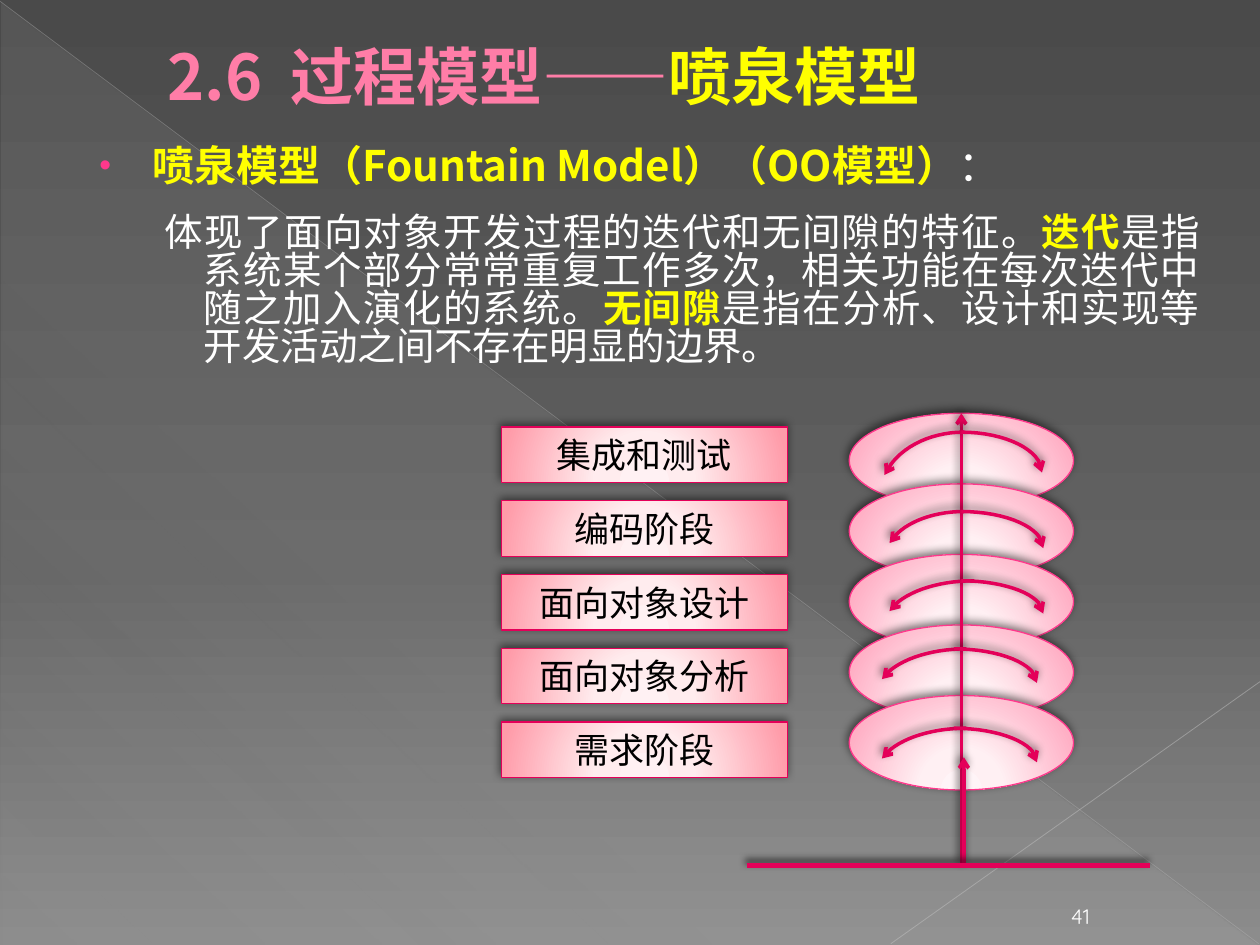
from lxml import etree
from pptx import Presentation
from pptx.dml.color import RGBColor
from pptx.enum.shapes import MSO_CONNECTOR as CONN, MSO_SHAPE as SHAPE
from pptx.enum.text import MSO_ANCHOR as ANCHOR, PP_ALIGN as ALIGN
from pptx.oxml import parse_xml
from pptx.oxml.ns import nsdecls, qn
from pptx.util import Inches, Pt

WIDTH, HEIGHT = Inches(10), Inches(7.5)
COL, ROW = WIDTH / 100, HEIGHT / 75
CJK, LATIN = "Noto Sans CJK SC", "Quicksand"
WHITE, YELLOW, PINK, ROSE, RED = "FFFFFF", "FFFF00", "FF388C", "FF7DA7", "E40059"
GLOW = '<a:path path="circle"><a:fillToRect l="50000" t="155000" r="50000" b="-55000"/></a:path>'
STAGES = ["集成和测试", "编码阶段", "面向对象设计", "面向对象分析", "需求阶段"]
ARCS = [
    (34.3, 76.5, 70.2, 37.7, 82.7, 37.5),
    (40.6, 76.5, 70.6, 43.1, 82.8, 43.5),
    (46.1, 77.3, 70.6, 48.5, 82.8, 48.7),
    (51.5, 76.7, 70.0, 53.9, 82.3, 54.2),
    (57.8, 76.7, 70.0, 60.2, 82.3, 60.5),
]


def color(value):
    return RGBColor.from_string(value)


def place(*cells):
    return [round(c * (COL, ROW)[i % 2]) for i, c in enumerate(cells)]


def gradient(element, stops, direction):
    gs = "".join(
        f'<a:gs pos="{pos * 1000}"><a:srgbClr val="{val}">'
        f'<a:alpha val="{alpha * 1000}"/></a:srgbClr></a:gs>'
        for pos, val, alpha in stops
    )
    fill = parse_xml(
        f'<a:gradFill {nsdecls("a")} rotWithShape="1"><a:gsLst>{gs}</a:gsLst>{direction}</a:gradFill>'
    )
    solid = element.find(".//" + qn("a:solidFill"))
    solid.getparent().replace(solid, fill)


def linear(angle):
    return f'<a:lin ang="{angle * 60000}" scaled="0"/>'


def shadow(sp, alpha=0, blur=0, dist=0):
    outer = ""
    if alpha:
        outer = (
            f'<a:outerShdw blurRad="{Pt(blur)}" dist="{Pt(dist)}" dir="{245 * 60000}" rotWithShape="0">'
            f'<a:srgbClr val="000000"><a:alpha val="{alpha * 1000}"/></a:srgbClr></a:outerShdw>'
        )
    effects = parse_xml(f'<a:effectLst {nsdecls("a")}>{outer}</a:effectLst>')
    sp.element.find(qn("p:spPr")).append(effects)


def stroke(sp, value, width, arrow=False, alpha=100):
    sp.line.color.rgb = color(value)
    sp.line.width = Pt(width)
    ln = sp.element.find(".//" + qn("a:ln"))
    if alpha < 100:
        tint = ln.find(".//" + qn("a:srgbClr"))
        etree.SubElement(tint, qn("a:alpha"), val=str(alpha * 1000))
    if arrow:
        etree.SubElement(ln, qn("a:tailEnd"), type="arrow")


def line(s, ends, value, width, arrow=False, alpha=100, shade=()):
    sp = s.shapes.add_connector(CONN.STRAIGHT, *place(*ends))
    stroke(sp, value, width, arrow, alpha)
    shadow(sp, *shade)


def glossy(s, kind, cells, edge, tones):
    sp = s.shapes.add_shape(kind, *place(*cells))
    sp.fill.solid()
    stroke(sp, edge, 0.75)
    gradient(sp.element, [(p, c, 100) for p, c in zip((0, 34, 100), tones)], GLOW)
    shadow(sp, 50, 5, 2)
    return sp


def curve(s, start, near, far, end):
    points = []
    for step in range(1, 17):
        t = step / 16
        weights = ((1 - t) ** 3, 3 * t * (1 - t) ** 2, 3 * t * t * (1 - t), t ** 3)
        xy = (sum(w * v for w, v in zip(weights, axis)) for axis in zip(start, near, far, end))
        points.append(place(*xy))
    builder = s.shapes.build_freeform(*place(*start))
    builder.add_line_segments(points, close=False)
    sp = builder.convert_to_shape()
    sp.fill.background()
    stroke(sp, RED, 2, arrow=True)
    shadow(sp, 50, 5, 2)


def arc(s, top, left_start, left, left_end, right, right_end):
    w, h = left_start - left, left_end - top
    curve(s, (left_start, top), (left_start - 0.45 * w, top), (left + 0.15 * w, top + 0.4 * h), (left, left_end))
    right_start = 76.3 if right > 82.5 else 75.7
    w, h = right - right_start, right_end - top
    curve(s, (right_start, top), (right_start + 0.55 * w, top), (right, top + 0.45 * h), (right, right_end))


def write(p, text, size, value, bold=False, name=CJK):
    r = p.add_run()
    r.text = text
    for key, val in {"size": Pt(size), "bold": bold, "name": name}.items():
        setattr(r.font, key, val)
    r.font.color.rgb = color(value)
    etree.SubElement(r.font._element, qn("a:ea"), typeface=CJK)


def indent(p, left, first):
    pPr = p._p.get_or_add_pPr()
    pPr.set("marL", str(Inches(left)))
    pPr.set("indent", str(Inches(first)))
    return pPr


def frame(sp, **formats):
    tf = sp.text_frame
    for key, val in {"word_wrap": True, **formats}.items():
        setattr(tf, key, val)
    return tf


def add_backdrop(s):
    s.background.fill.solid()
    gradient(s.element, [(0, "4A4A4A", 100), (60, "626262", 100), (100, "8C8C8C", 100)], linear(90))
    sp = s.shapes.add_shape(SHAPE.RIGHT_TRIANGLE, *place(0.1, 0.2, 99.8, 74.8))
    sp.fill.solid()
    sp.line.fill.background()
    gradient(sp.element, [(0, "D2D2D2", 10), (70, "D2D2D2", 8), (100, "D2D2D2", 1)], linear(133))
    shadow(sp)
    line(s, (0, 0.1, 99.9, 74.9), "BFBFBF", 0.39, alpha=35)
    line(s, (100, 54.1, 70.7, 74.9), "C6C6C6", 0.47, alpha=45)


def add_title(s):
    title = s.shapes.title
    title.element.getparent().append(title.element)
    title.left, title.top, title.width, title.height = place(7, 0.8, 77.9, 10.4)
    p = frame(title, vertical_anchor=ANCHOR.MIDDLE).paragraphs[0]
    p.alignment = ALIGN.LEFT
    indent(p, 0.53, 0)
    write(p, "2.6  过程模型——", 36, ROSE, True)
    write(p, "喷泉模型", 36, YELLOW, True)


def add_body(s):
    tf = frame(s.shapes.add_textbox(*place(6.2, 10.9, 90, 51.7)), margin_top=Inches(0.09))
    head, detail = tf.paragraphs[0], tf.add_paragraph()
    for p, before, after in ((head, 0, 10), (detail, 5, 9)):
        formats = {"alignment": ALIGN.JUSTIFY, "line_spacing": 0.82, "space_before": Pt(before), "space_after": Pt(after)}
        for key, val in formats.items():
            setattr(p, key, val)
    pPr = indent(head, 0.49, -0.42)
    tint = etree.SubElement(pPr, qn("a:buClr"))
    etree.SubElement(tint, qn("a:srgbClr"), val=PINK)
    etree.SubElement(pPr, qn("a:buSzPct"), val="80000")
    etree.SubElement(pPr, qn("a:buFont"), typeface="Arial")
    etree.SubElement(pPr, qn("a:buChar"), char="•")
    write(head, "喷泉模型（Fountain Model）（OO模型）", 24, YELLOW, True)
    write(head, "：", 24, WHITE)
    detail.level = 1
    indent(detail, 0.9, -0.31)
    write(detail, "体现了面向对象开发过程的迭代和无间隙的特征。", 22, WHITE)
    write(detail, "迭代", 22, YELLOW, True)
    write(detail, "是指系统某个部分常常重复工作多次，相关功能在每次迭代中随之加入演化的系统。", 22, WHITE, name=LATIN)
    write(detail, "无间隙", 22, YELLOW, True, LATIN)
    write(detail, "是指在分析、设计和实现等开发活动之间不存在明显的边界。", 22, WHITE, name=LATIN)


def add_page_number(s):
    tf = frame(s.shapes.add_textbox(*place(83, 70.9, 5.5, 3.3)), vertical_anchor=ANCHOR.BOTTOM)
    tf.paragraphs[0].alignment = ALIGN.CENTER
    write(tf.paragraphs[0], "41", 12, WHITE, name=LATIN)


def add_fountain(s):
    for i in range(len(STAGES)):
        glossy(s, SHAPE.OVAL, (67.4, 32.8 + 5.6 * i, 17.8, 7.5), PINK, ("FFF4F7", "FFF0F3", "FFAFC5"))
    line(s, (76.3, 68.7, 76.3, 32.8), RED, 2, arrow=True, shade=(50, 5, 2))
    line(s, (76.5, 68.7, 76.5, 60.1), RED, 2, arrow=True, shade=(50, 5, 2))
    line(s, (59.3, 68.7, 91.3, 68.7), RED, 3, shade=(60, 4, 3))
    for spec_row in ARCS:
        arc(s, *spec_row)


def add_stages(s):
    for i, stage in enumerate(STAGES):
        sp = glossy(s, SHAPE.RECTANGLE, (39.8, 33.9 + 5.85 * i, 22.7, 4.4), RED, ("FFF1F3", "FFECEE", "FF9BA9"))
        tf = frame(sp, vertical_anchor=ANCHOR.MIDDLE, margin_top=0, margin_bottom=0)
        tf.paragraphs[0].alignment = ALIGN.CENTER
        write(tf.paragraphs[0], stage, 20, "000000")


def main():
    prs = Presentation()
    prs.slide_width, prs.slide_height = WIDTH, HEIGHT
    s = prs.slides.add_slide(prs.slide_layouts[5])
    for add in (add_backdrop, add_body, add_page_number, add_title, add_fountain, add_stages):
        add(s)
    prs.save("out.pptx")


if __name__ == "__main__":
    main()
